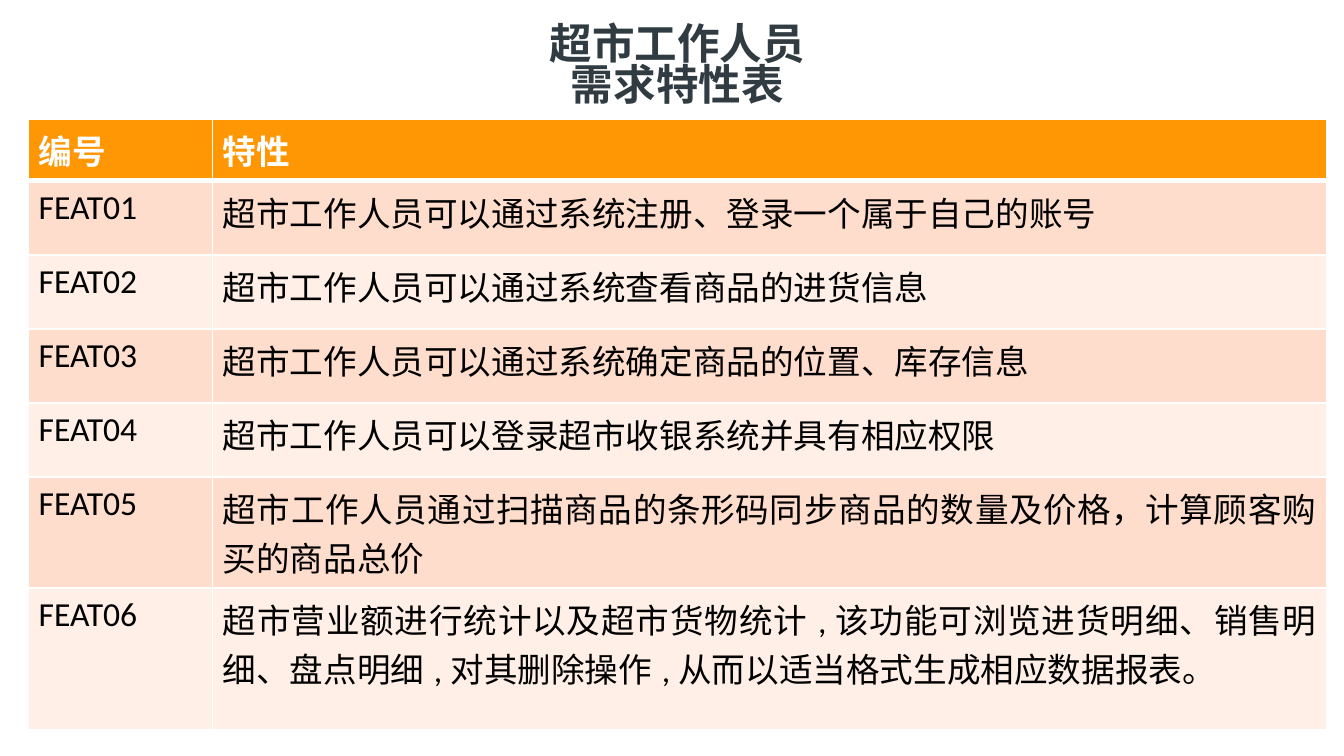
from pptx import Presentation
from pptx.dml.color import RGBColor
from pptx.enum.text import MSO_ANCHOR, MSO_AUTO_SIZE, PP_ALIGN
from pptx.oxml.ns import qn
from pptx.util import Pt
from lxml.etree import SubElement

TITLE = "超市工作人员需求特性表"
HEADER = ("编号", "特性")
FEATURES = [
    "超市工作人员可以通过系统注册、登录一个属于自己的账号",
    "超市工作人员可以通过系统查看商品的进货信息",
    "超市工作人员可以通过系统确定商品的位置、库存信息",
    "超市工作人员可以登录超市收银系统并具有相应权限",
    "超市工作人员通过扫描商品的条形码同步商品的数量及价格，计算顾客购买的商品总价",
    "超市营业额进行统计以及超市货物统计,该功能可浏览进货明细、销售明细、盘点明细,"
    "对其删除操作,从而以适当格式生成相应数据报表。",
]
ROWS = [HEADER] + [(f"FEAT{number:02}", text) for number, text in enumerate(FEATURES, 1)]

THEME = {
    "title_font": "Arial", "title_size": 22.8, "title_color": "313C42",
    "table_font": "Calibri", "table_size": 18,
    "header_fill": "FF9603", "header_color": "FFFFFF", "text_color": "000000",
    "bands": ("FFDDCC", "FFEFE7"),
    "border": "FFFFFF", "border_width": 1, "header_border_width": 3,
}

SLIDE_SIZE = (720, 405)
TITLE_BOX = (284.4, 8.6, 157, 55.4)
TABLE_ORIGIN = (15.3, 63.6)
COLUMN_WIDTHS = (98.6, 597)
ROW_HEIGHTS = (31.6, 39.7, 39.7, 39.7, 39.7, 56.7, 75.8)


def style_font(font, name, size, color, bold):
    font.name, font.size, font.bold = name, Pt(size), bold
    font.color.rgb = RGBColor.from_string(color)


def add_title(slide):
    title = slide.shapes.title
    title.left, title.top, title.width, title.height = map(Pt, TITLE_BOX)
    frame = title.text_frame
    frame.margin_left = frame.margin_top = frame.margin_right = frame.margin_bottom = 0
    frame.word_wrap = True
    frame.auto_size = MSO_AUTO_SIZE.NONE
    frame.vertical_anchor = MSO_ANCHOR.MIDDLE
    frame.text = TITLE
    paragraph = frame.paragraphs[0]
    paragraph.alignment = PP_ALIGN.CENTER
    paragraph.line_spacing = 0.81
    style_font(paragraph.font, THEME["title_font"], THEME["title_size"],
               THEME["title_color"], True)


def add_borders(cell, row_index):
    """Draw all four edges, with a heavier one between header and body."""
    heavy_edge = {0: "lnB", 1: "lnT"}.get(row_index)
    properties = cell._tc.get_or_add_tcPr()
    for edge in ("lnL", "lnR", "lnT", "lnB"):
        width = THEME["header_border_width" if edge == heavy_edge else "border_width"]
        line = SubElement(properties, qn(f"a:{edge}"), w=str(Pt(width)))
        fill = SubElement(line, qn("a:solidFill"))
        SubElement(fill, qn("a:srgbClr"), val=THEME["border"])


def fill_cell(cell, text, row_index):
    is_header = row_index == 0
    add_borders(cell, row_index)
    color = THEME["header_fill"] if is_header else THEME["bands"][(row_index - 1) % 2]
    cell.fill.solid()
    cell.fill.fore_color.rgb = RGBColor.from_string(color)
    cell.margin_left = cell.margin_right = Pt(5.4)
    cell.margin_top = cell.margin_bottom = Pt(3.6)
    cell.text = text
    paragraph = cell.text_frame.paragraphs[0]
    paragraph.alignment = PP_ALIGN.JUSTIFY
    style_font(paragraph.font, THEME["table_font"], THEME["table_size"],
               THEME["header_color" if is_header else "text_color"], is_header)


def add_feature_table(slide):
    size = (sum(COLUMN_WIDTHS), sum(ROW_HEIGHTS))
    table = slide.shapes.add_table(len(ROWS), len(HEADER),
                                   *map(Pt, TABLE_ORIGIN + size)).table
    table.horz_banding = False
    for column, width in zip(table.columns, COLUMN_WIDTHS):
        column.width = Pt(width)
    for row_index, (row, height) in enumerate(zip(table.rows, ROW_HEIGHTS)):
        row.height = Pt(height)
        for cell, text in zip(row.cells, ROWS[row_index]):
            fill_cell(cell, text, row_index)


def main():
    presentation = Presentation()
    presentation.slide_width, presentation.slide_height = map(Pt, SLIDE_SIZE)
    slide = presentation.slides.add_slide(presentation.slide_layouts.get_by_name("Title Only"))
    add_title(slide)
    add_feature_table(slide)
    presentation.save("out.pptx")


if __name__ == "__main__":
    main()
